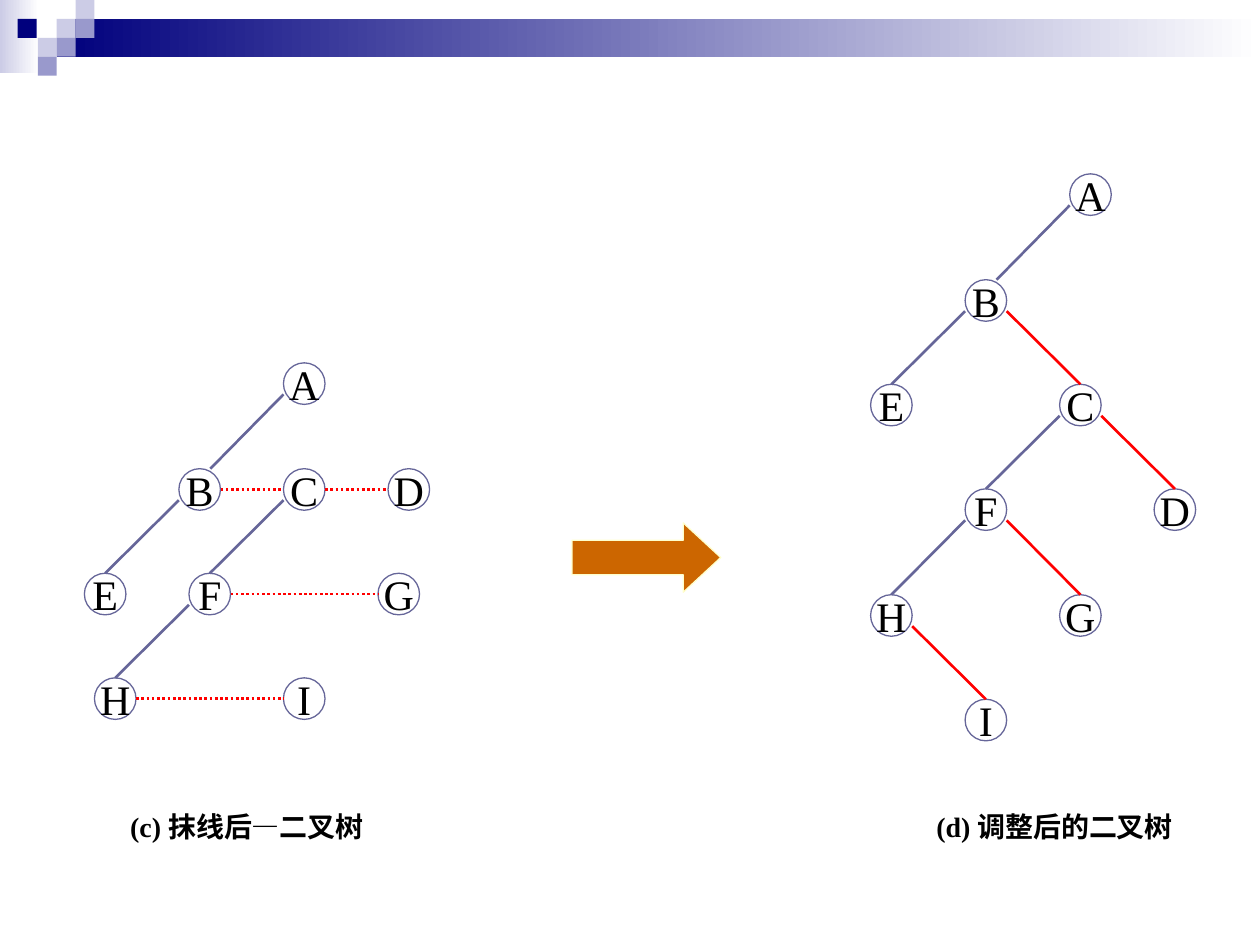
"""Build a slide that turns sibling links into a binary tree."""
from pptx import Presentation
from pptx.dml.color import RGBColor
from pptx.enum.dml import MSO_LINE
from pptx.enum.shapes import MSO_CONNECTOR, MSO_SHAPE
from pptx.enum.text import MSO_ANCHOR, PP_ALIGN
from pptx.oxml.ns import qn
from pptx.util import Inches, Pt

RECTANGLE, OVAL = MSO_SHAPE.RECTANGLE, MSO_SHAPE.OVAL
RIGHT_ARROW = MSO_SHAPE.RIGHT_ARROW
STRAIGHT = MSO_CONNECTOR.STRAIGHT
DOTTED = MSO_LINE.ROUND_DOT
CENTER, MIDDLE = PP_ALIGN.CENTER, MSO_ANCHOR.MIDDLE

WHITE = RGBColor(0xFF, 0xFF, 0xFF)
BLACK = RGBColor(0x00, 0x00, 0x00)
NAVY = RGBColor(0x00, 0x00, 0x7D)
LAVENDER = RGBColor(0xCC, 0xCC, 0xE6)
PERIWINKLE = RGBColor(0x99, 0x99, 0xCC)
SLATE = RGBColor(0x66, 0x66, 0x99)
RED = RGBColor(0xFF, 0x00, 0x00)
ORANGE = RGBColor(0xCC, 0x66, 0x00)
CREAM = RGBColor(0xFF, 0xFF, 0xCC)

FONT = "Times New Roman"
NODE = 0.33
BRANCH = 0.25
TILE = 0.15

TILES = [
    (0.45, 0.15, LAVENDER), (0.6, 0, LAVENDER), (0.6, 0.15, PERIWINKLE),
    (0.3, 0.3, LAVENDER), (0.14, 0.15, NAVY), (0.45, 0.3, PERIWINKLE),
    (0.3, 0.45, PERIWINKLE),
]
LINKED_NODES = {
    "A": (2.25, 2.88), "B": (1.42, 3.72), "C": (2.25, 3.72),
    "D": (3.08, 3.72), "E": (0.67, 4.55), "F": (1.5, 4.55),
    "G": (3, 4.55), "H": (0.75, 5.38), "I": (2.25, 5.38),
}
BINARY_NODES = {
    "A": (8.49, 1.38), "B": (7.66, 2.22), "C": (8.41, 3.05),
    "D": (9.16, 3.88), "E": (6.91, 3.05), "F": (7.66, 3.88),
    "G": (8.41, 4.72), "H": (6.91, 4.72), "I": (7.66, 5.55),
}
FIRST_CHILDREN = ["AB", "BE", "CF", "FH"]
SIBLINGS = ["BC", "CD", "FG", "HI"]


def write(shape, text, size=24, bold=False, wrap=False, anchor=None):
    frame = shape.text_frame
    frame.word_wrap = wrap
    if anchor is not None:
        frame.vertical_anchor = anchor
    paragraph = frame.paragraphs[0]
    paragraph.text = text
    paragraph.alignment = CENTER
    font = paragraph.font
    font.name, font.size, font.bold = FONT, Pt(size), bold
    font.color.rgb = BLACK


class TreeSlide:
    """Style and drawing methods for the current slide."""

    def __init__(self, slide):
        self.slide = slide

    def block(self, preset, box, color, outline=None, fade=False):
        shape = self.slide.shapes.add_shape(preset, *map(Inches, box))
        shape.shadow.inherit = False
        if fade:
            shape.fill.gradient()
            shape.fill.gradient_angle = 0
            start, end = shape.fill.gradient_stops
            start.color.rgb, end.color.rgb = color, WHITE
            start.position, end.position = 0, 1
        else:
            shape.fill.solid()
            shape.fill.fore_color.rgb = color
        if outline is None:
            shape.line.fill.background()
        else:
            shape.line.color.rgb = outline
            shape.line.width = Pt(0.75)
        return shape

    def node(self, letter, left, top):
        circle = self.block(OVAL, (left, top, NODE, NODE), WHITE, SLATE)
        write(circle, letter, anchor=MIDDLE)
        return circle

    def edge(self, start, end, color, dash=None):
        line = self.slide.shapes.add_connector(
            STRAIGHT, *map(Inches, (*start, *end)))
        line.line.color.rgb = color
        line.line.width = Pt(1.5)
        if dash is not None:
            line.line.dash_style = dash
        properties = line._element.spPr
        properties.append(properties.makeelement(qn("a:effectLst"), {}))
        return line

    def branch(self, places, circles, pair, color, right=False):
        parent, child = pair
        left, top = places[parent]
        child_left, child_top = places[child]
        start = (left + NODE * right, top + BRANCH)
        if parent == "A":
            self.edge(start, (child_left + BRANCH, child_top), color)
        else:
            line = self.edge(start, (child_left + NODE / 2, child_top), color)
            line.end_connect(circles[child], 0)

    def tree(self, places, siblings_level):
        circles = {letter: self.node(letter, *place)
                   for letter, place in places.items()}
        for pair in FIRST_CHILDREN:
            self.branch(places, circles, pair, SLATE)
        for pair in SIBLINGS:
            if siblings_level:
                (left, top), (next_left, _) = (places[p] for p in pair)
                middle = top + NODE / 2
                self.edge((left + NODE, middle), (next_left, middle),
                          RED, DOTTED)
            else:
                self.branch(places, circles, pair, RED, right=True)

    def caption(self, text, box):
        label = self.slide.shapes.add_textbox(*map(Inches, box))
        write(label, text, size=16, bold=True, wrap=True)

    def header(self):
        self.block(RECTANGLE, (0, 0, 0.31, 0.58), LAVENDER, fade=True)
        self.block(RECTANGLE, (0.45, 0.15, 9.55, 0.3), NAVY, fade=True)
        for left, top, color in TILES:
            self.block(RECTANGLE, (left, top, TILE, TILE), color)


def main():
    presentation = Presentation()
    presentation.slide_width = Inches(10)
    presentation.slide_height = Inches(7.5)
    blank = presentation.slide_layouts[6]
    page = TreeSlide(presentation.slides.add_slide(blank))

    page.header()
    page.tree(LINKED_NODES, siblings_level=True)
    page.caption("(c) 抹线后—二叉树", (0.92, 6.38, 2.08, 0.64))
    page.caption("(d) 调整后的二叉树", (7.16, 6.38, 2.42, 0.37))
    page.tree(BINARY_NODES, siblings_level=False)
    arrow = page.block(RIGHT_ARROW, (4.54, 4.15, 1.18, 0.55), ORANGE, CREAM)
    arrow.adjustments[0], arrow.adjustments[1] = 0.5, 0.54

    presentation.save("out.pptx")


if __name__ == "__main__":
    main()
